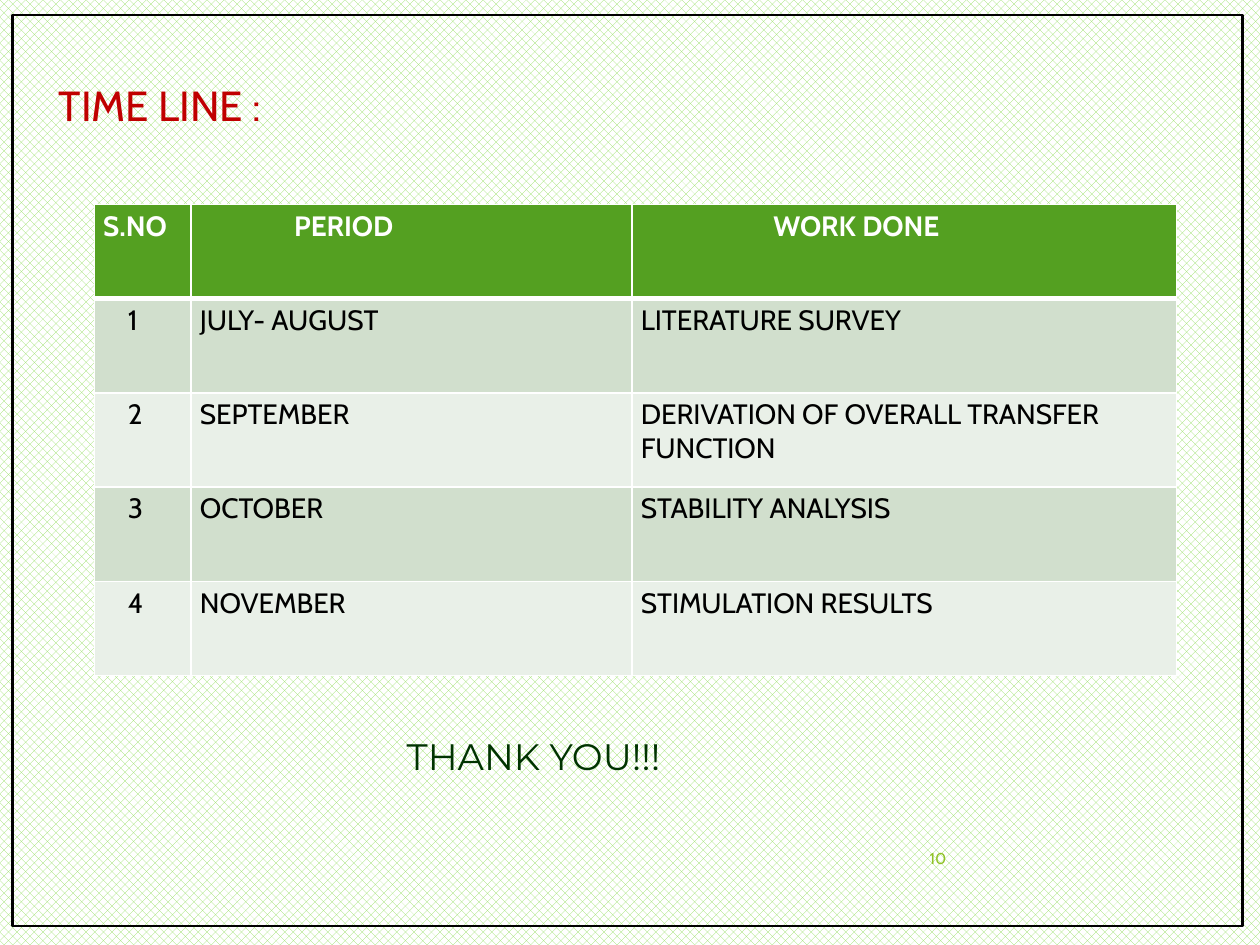
from lxml.etree import SubElement
from pptx import Presentation
from pptx.dml.color import RGBColor
from pptx.enum.dml import MSO_PATTERN
from pptx.enum.shapes import MSO_SHAPE
from pptx.enum.text import MSO_ANCHOR as Anchor, PP_ALIGN as Align
from pptx.oxml.ns import qn
from pptx.util import Cm, Pt


def color(value):
    return RGBColor.from_string(value)


def add_run(paragraph, text, size, hue, font="Cabin", bold=False):
    run = paragraph.add_run()
    run.text = text
    run.font.size = Pt(size)
    run.font.name = font
    run.font.bold = bold
    run.font.color.rgb = color(hue)


prs = Presentation()
prs.slide_width, prs.slide_height = Cm(25.4), Cm(19.05)
slide = prs.slides.add_slide(prs.slide_layouts[6])
backdrop = slide.background.fill
backdrop.patterned()
backdrop.pattern = MSO_PATTERN.PERCENT_50
backdrop.fore_color.rgb = color("94DE61")
backdrop.back_color.rgb = color("FFFFFF")

captions = [
    ("TIME LINE :", 0.94, 1.47, 18.39, 3, 24, "C00000", "Cabin", Align.LEFT, Anchor.TOP),
    ("10", 17.91, 16.79, 1.42, 1.02, 9, "90C226", "Cabin", Align.RIGHT, Anchor.MIDDLE),
    ("THANK YOU!!!", 7.95, 14.66, 12.9, 1.14, 21, "003300", "Montserrat", Align.LEFT, Anchor.TOP),
]
for text, left, top, width, height, size, hue, font, align, anchor in captions:
    caption = slide.shapes.add_textbox(Cm(left), Cm(top), Cm(width), Cm(height)).text_frame
    caption.word_wrap = True
    caption.vertical_anchor = anchor
    caption.paragraphs[0].alignment = align
    add_run(caption.paragraphs[0], text, size, hue, font)

schedule = [
    ("S.NO", "PERIOD", "WORK DONE"),
    ("1", "JULY- AUGUST", "LITERATURE SURVEY"),
    ("2", "SEPTEMBER", "DERIVATION OF OVERALL TRANSFER FUNCTION"),
    ("3", "OCTOBER", "STABILITY ANALYSIS"),
    ("4", "NOVEMBER", "STIMULATION RESULTS"),
]
header_indents = (0, 1.9, 2.67)
body_indents = (0.5, 0, 0)
timeline = slide.shapes.add_table(5, 3, Cm(1.9), Cm(4.12), Cm(21.82), Cm(9.5)).table
for column, width in zip(timeline.columns, (1.95, 8.89, 10.98)):
    column.width = Cm(width)

for r, entries in enumerate(schedule):
    timeline.rows[r].height = Cm(1.9)
    header = r == 0
    shade = "54A021" if header else ("E9F0E8", "D1DFCD")[r % 2]
    indents = header_indents if header else body_indents
    for c, entry in enumerate(entries):
        cell = timeline.cell(r, c)
        cell.margin_left = cell.margin_right = Cm(0.18)
        cell.margin_top = cell.margin_bottom = Cm(0.1)
        cell.fill.solid()
        cell.fill.fore_color.rgb = color(shade)
        paragraph = cell.text_frame.paragraphs[0]
        paragraph._p.get_or_add_pPr().set("marL", str(Cm(indents[c])))
        add_run(paragraph, entry, 16, "FFFFFF" if header else "000000", bold=header)
        properties = cell._tc.get_or_add_tcPr()
        for position, side in enumerate(("lnL", "lnR", "lnT", "lnB")):
            thick = (side == "lnB" and r == 0) or (side == "lnT" and r == 1)
            border = SubElement(properties, qn(f"a:{side}"), w=str(Pt(3 if thick else 1)))
            SubElement(SubElement(border, qn("a:solidFill")), qn("a:srgbClr"), val="FFFFFF")
            properties.insert(position, border)

frame = slide.shapes.add_shape(MSO_SHAPE.RECTANGLE, Cm(0.25), Cm(0.3), Cm(24.8), Cm(18.37))
frame.shadow.inherit = False
frame.fill.background()
frame.line.color.rgb = color("000000")
frame.line.width = Pt(1.5)

prs.save("out.pptx")
